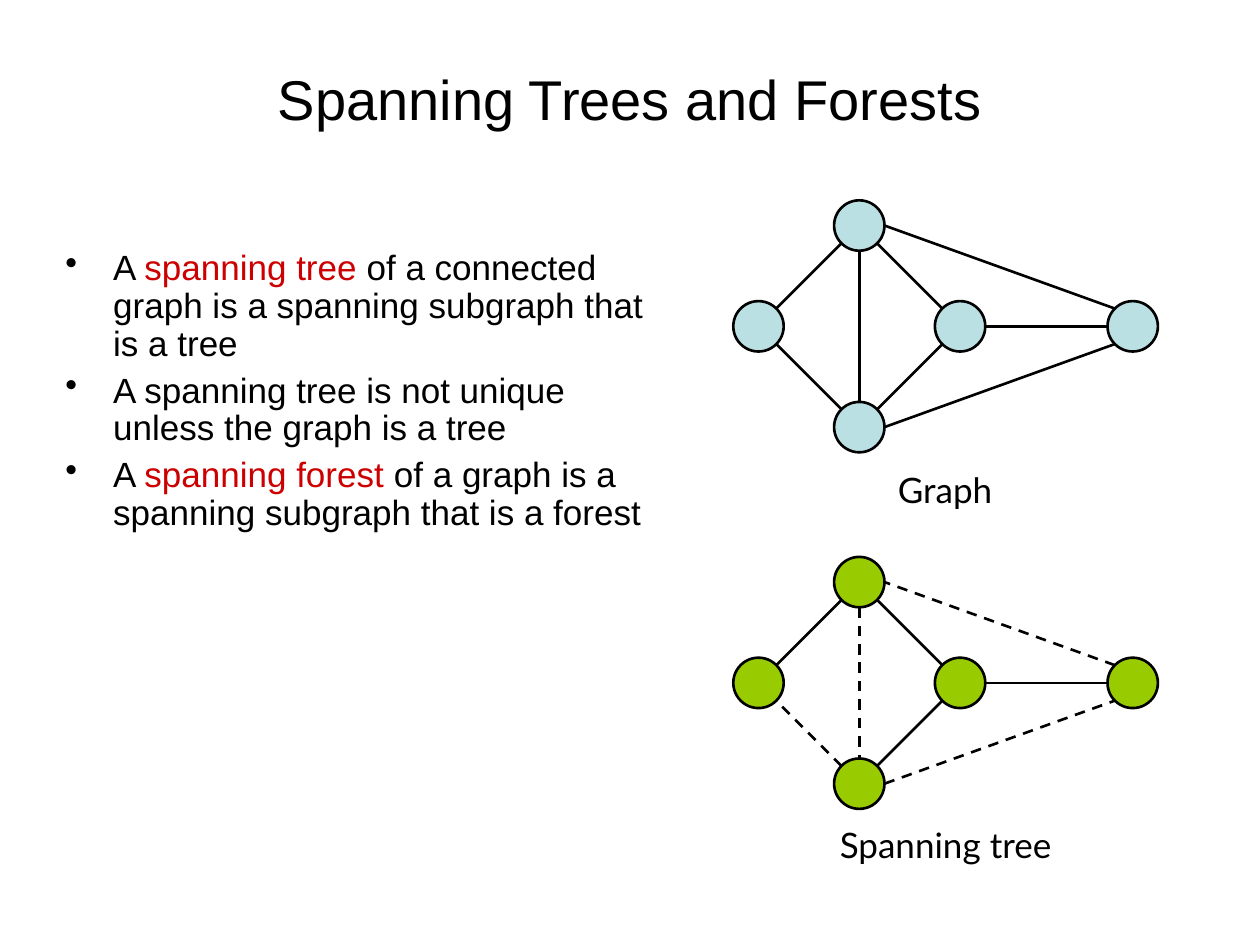
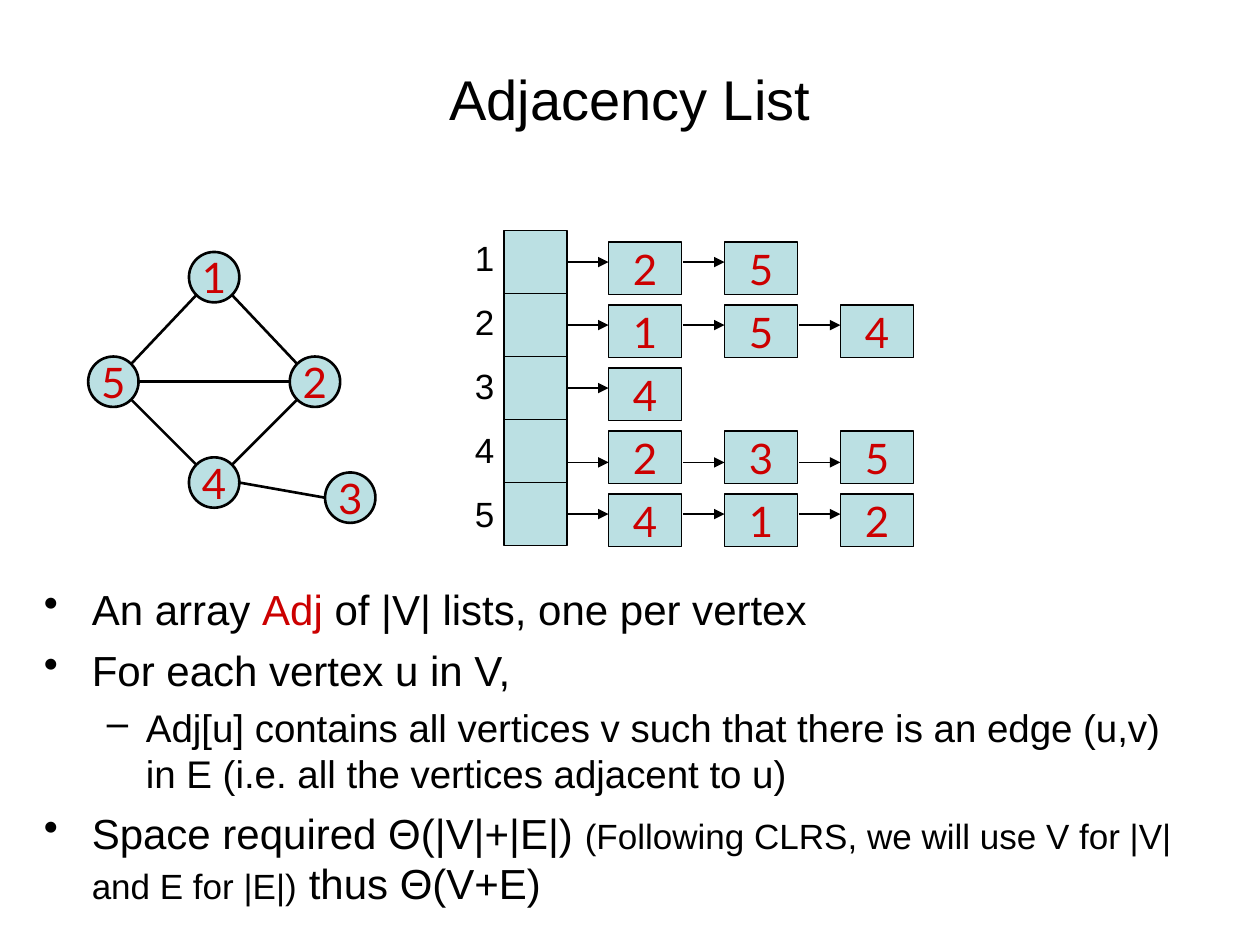
from pptx import Presentation
from pptx.dml.color import RGBColor
from pptx.enum.dml import MSO_LINE
from pptx.enum.shapes import MSO_CONNECTOR, MSO_SHAPE
from pptx.enum.text import MSO_ANCHOR, PP_ALIGN
from pptx.oxml.ns import qn
from pptx.util import Inches, Pt
from lxml.etree import SubElement

BLACK, RED, BLUE, GREEN = "000000", "CC0000", "BBE0E3", "99CC00"
rgb = RGBColor.from_string


def add_box(s, kind, x, y, w, h, fill, width, label=""):
    sp = s.shapes.add_shape(kind, Inches(x), Inches(y), Inches(w), Inches(h))
    sp.shadow.inherit = False
    sp.fill.solid()
    sp.fill.fore_color.rgb = rgb(fill)
    sp.line.color.rgb = rgb(BLACK)
    sp.line.width = Pt(width)
    if label:
        tf = sp.text_frame
        tf.word_wrap = False
        tf.vertical_anchor = MSO_ANCHOR.MIDDLE
        p = tf.paragraphs[0]
        p.text = label
        p.alignment = PP_ALIGN.CENTER
        p.font.name, p.font.size = "Lato", Pt(24)
        p.font.color.rgb = rgb(RED)


def add_line(s, x1, y1, x2, y2, width, dashed=False, arrow=False):
    cxn = s.shapes.add_connector(
        MSO_CONNECTOR.STRAIGHT, Inches(x1), Inches(y1), Inches(x2), Inches(y2))
    cxn.line.color.rgb = rgb(BLACK)
    cxn.line.width = Pt(width)
    if dashed:
        cxn.line.dash_style = MSO_LINE.DASH
    if arrow:
        SubElement(cxn.line._get_or_add_ln(), qn("a:tailEnd"), type="triangle")
    SubElement(cxn._element.spPr, qn("a:effectLst"))


prs = Presentation()
prs.slide_width, prs.slide_height = Inches(10), Inches(7.5)
trees, adjacency = [prs.slides.add_slide(prs.slide_layouts[6]) for _ in range(2)]

radius = 0.2
sides = {"N": (0, -0.2), "S": (0, 0.2), "W": (-0.2, 0), "E": (0.2, 0),
         "NW": (-0.14, -0.14), "NE": (0.14, -0.14),
         "SW": (-0.14, 0.14), "SE": (0.14, 0.14)}

kite = {"top": (6.82, 1.79), "left": (6.02, 2.59), "middle": (7.62, 2.59),
        "bottom": (6.82, 3.39), "right": (8.99, 2.59)}
kite_edges = [("top", "SW", "left", "NE"), ("bottom", "NW", "left", "SE"),
              ("bottom", "NE", "middle", "SW"), ("top", "SE", "middle", "NW"),
              ("top", "S", "bottom", "N"), ("middle", "E", "right", "W"),
              ("bottom", "E", "right", "SW"), ("right", "NW", "top", "E")]
lower_kite = {name: (x, y + 2.83) for name, (x, y) in kite.items()}
non_tree = [("bottom", "left"), ("top", "bottom"), ("bottom", "right"), ("right", "top")]
numbered = {"1": (1.7, 2.2), "2": (2.5, 3.03), "3": (2.78, 3.95),
            "4": (1.7, 3.83), "5": (0.9, 3.03)}
numbered_edges = [("1", "SW", "5", "NE"), ("4", "NW", "5", "SE"),
                  ("4", "NE", "2", "SW"), ("1", "SE", "2", "NW"),
                  ("4", "E", "3", "W"), ("5", "E", "2", "W")]

for s, nodes, edges, fill, dashed in [
        (trees, kite, kite_edges, BLUE, []),
        (trees, lower_kite, kite_edges, GREEN, non_tree),
        (adjacency, numbered, numbered_edges, BLUE, [])]:
    for name, (x, y) in nodes.items():
        label = name if nodes is numbered else ""
        add_box(s, MSO_SHAPE.OVAL, x - radius, y - radius,
                2 * radius, 2 * radius, fill, 1.5, label)
    for a, side_a, b, side_b in edges:
        (ax, ay), (bx, by) = nodes[a], nodes[b]
        (dax, day), (dbx, dby) = sides[side_a], sides[side_b]
        add_line(s, ax + dax, ay + day, bx + dbx, by + dby, 1.5, (a, b) in dashed)

array_x, array_y, array_w, row_h = 4, 1.83, 0.5, 0.5
cell_x, cell_w, cell_h, cell_step, gap = 4.83, 0.58, 0.42, 0.92, 0.33
lists = ["25", "154", "4", "235", "412"]
add_box(adjacency, MSO_SHAPE.RECTANGLE, array_x, array_y,
        array_w, row_h * len(lists), BLUE, 0.75)
for row, neighbours in enumerate(lists):
    y = array_y + row * row_h
    if row:
        add_line(adjacency, array_x, y, array_x + array_w, y, 0.75)
    arrow_y = y + (0.34 if row == 3 else 0.25)
    for col, vertex in enumerate(neighbours):
        x = cell_x + col * cell_step
        add_box(adjacency, MSO_SHAPE.RECTANGLE, x, y + 0.09,
                cell_w, cell_h, BLUE, 0.75, vertex)
        add_line(adjacency, x - gap, arrow_y, x, arrow_y, 0.75, arrow=True)

title_box = (0.5, 0.3, 9, 0.95)
title = dict(size=32, align=PP_ALIGN.CENTER)
caption = dict(size=20, align=PP_ALIGN.CENTER, font="Lato")
point = dict(size=20, before=5, spacing=0.9, bullet="•", margin=0.38, hang=0.38)
big_point = dict(size=24, before=6, bullet="•", margin=0.38, hang=0.38)
sub_point = dict(size=22, before=5.5, bullet="–", margin=0.81, hang=0.31)
index = dict(size=20, before=12.5)

texts = [
    (trees, title_box, [(title, ["Spanning Trees and Forests"])]),
    (trees, (0.42, 1.94, 4.92, 4.64), [
        (point, ["A ", ("spanning tree", RED, 20),
                 " of a connected graph is a spanning subgraph that is a tree"]),
        (point, ["A spanning tree is not unique unless the graph is a tree"]),
        (point, ["A ", ("spanning forest", RED, 20),
                 " of a graph is a spanning subgraph that is a forest"])]),
    (trees, (5.94, 3.67, 3.12, 0.44), [(caption, ["Graph"])]),
    (trees, (5.51, 6.49, 3.99, 0.44), [(caption, ["Spanning tree"])]),
    (adjacency, title_box, [(title, ["Adjacency List"])]),
    (adjacency, (0.25, 4.58, 9.25, 2.71), [
        (big_point, ["An array ", ("Adj", RED, 24), " of |V| lists, one per vertex"]),
        (big_point, ["For each vertex u in V,"]),
        (sub_point, ["Adj[u] contains all vertices v such that there is an edge (u,v) "
                     "in E (i.e. all the vertices adjacent to u)"]),
        (big_point, ["Space required Θ(|V|+|E|) ",
                     ("(Following CLRS, we will use V for |V| and E for |E|)", BLACK, 20),
                     " thus Θ(V+E)"])]),
    (adjacency, (3.67, 1.83, 0.5, 2.46), [(index, [n]) for n in "12345"]),
]

for s, box, paragraphs in texts:
    tf = s.shapes.add_textbox(*[Inches(v) for v in box]).text_frame
    tf.word_wrap = True
    if box == title_box:
        tf.vertical_anchor = MSO_ANCHOR.MIDDLE
    for i, (style, runs) in enumerate(paragraphs):
        p = tf.add_paragraph() if i else tf.paragraphs[0]
        p.alignment = style.get("align", PP_ALIGN.LEFT)
        p.line_spacing = style.get("spacing", 1.0)
        p.space_before = Pt(style.get("before", 0))
        p.font.name = style.get("font", "Arial")
        p.font.size = Pt(style["size"])
        p.font.color.rgb = rgb(BLACK)
        for run in runs:
            r = p.add_run()
            if isinstance(run, str):
                r.text = run
            else:
                r.text, color, size = run
                r.font.color.rgb = rgb(color)
                r.font.size = Pt(size)
        if "bullet" in style:
            pPr = p._p.get_or_add_pPr()
            pPr.set("marL", str(Inches(style["margin"])))
            pPr.set("indent", str(-Inches(style["hang"])))
            bullet = pPr.makeelement(qn("a:buChar"), {"char": style["bullet"]})
            pPr.insert_element_before(bullet, "a:tabLst", "a:defRPr", "a:extLst")

prs.save("out.pptx")
